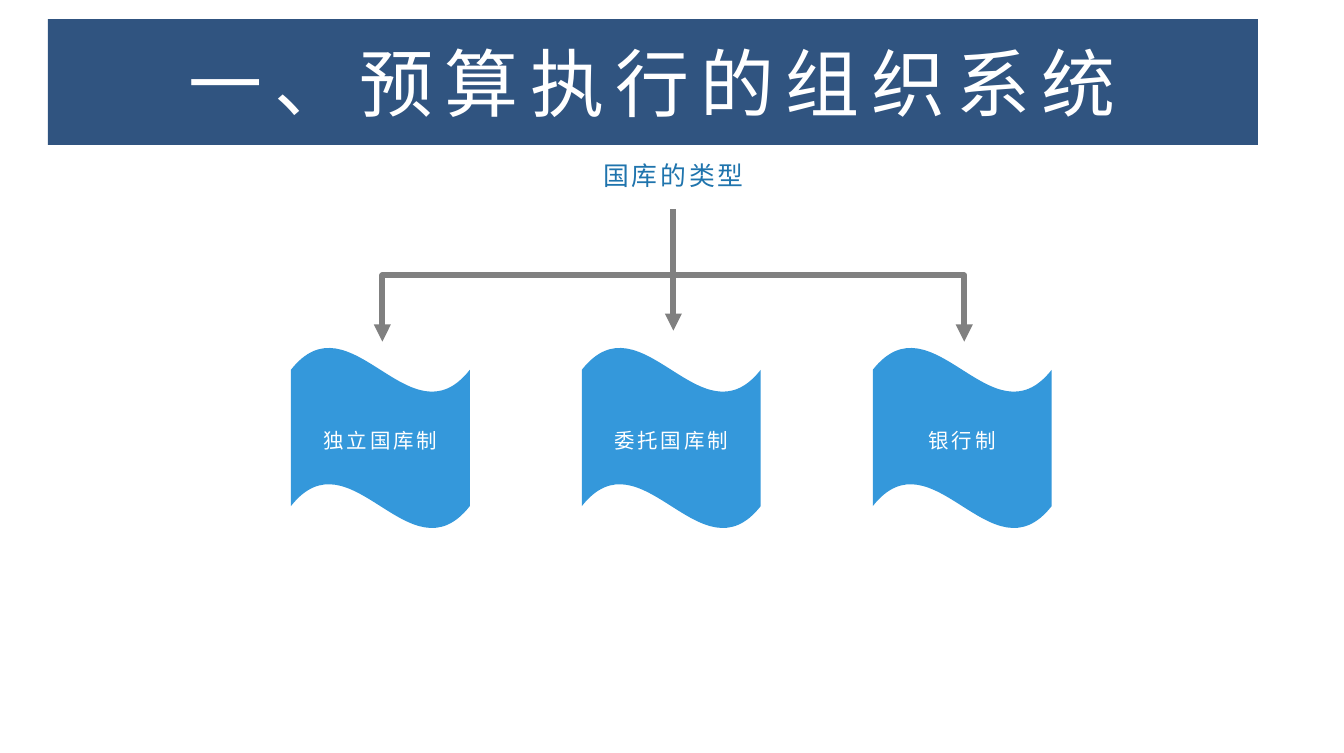
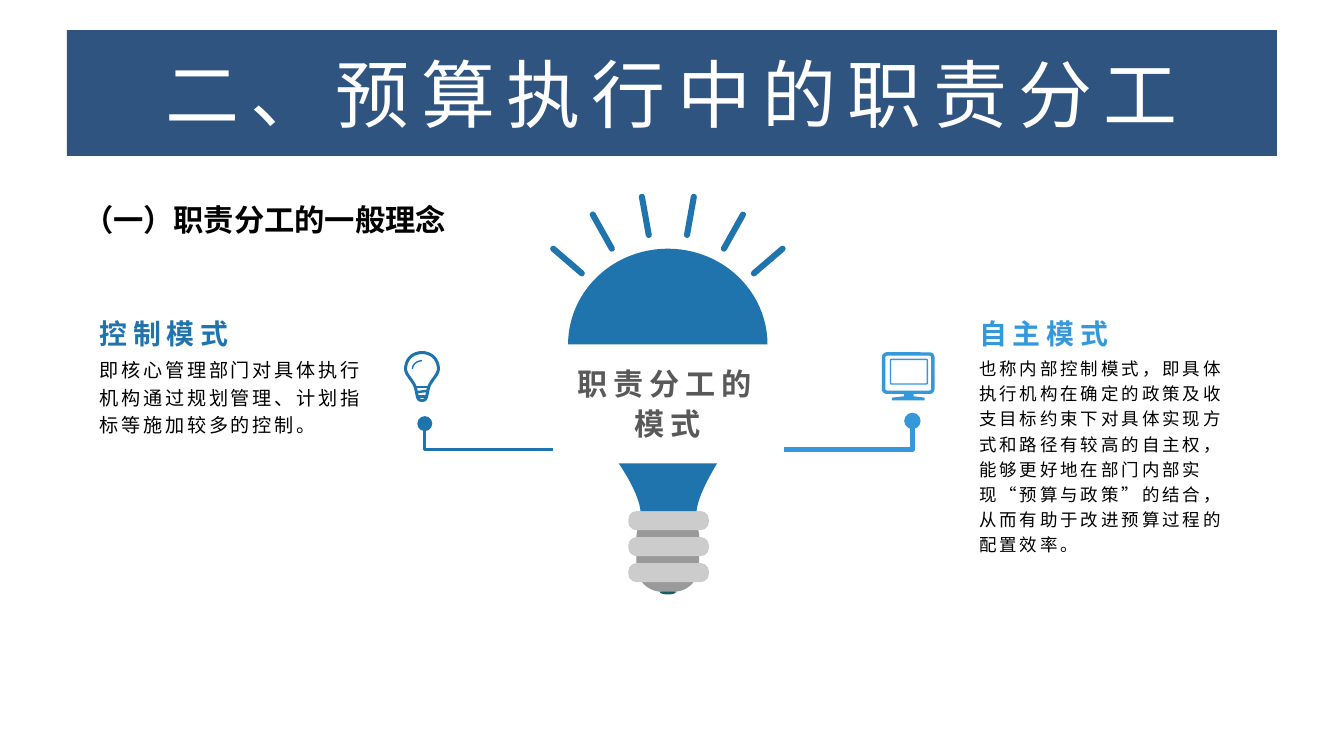
from dataclasses import dataclass
from math import cos, pi, sin
from typing import Optional

from lxml.etree import SubElement
from pptx import Presentation
from pptx.dml.color import RGBColor
from pptx.enum.shapes import MSO_CONNECTOR as Connector, MSO_SHAPE as Preset
from pptx.enum.text import MSO_ANCHOR as Anchor, PP_ALIGN as Align
from pptx.oxml.ns import qn
from pptx.util import Inches, Pt

Point = tuple[float, float]
Box = tuple[float, float, float, float]


@dataclass(frozen=True)
class Theme:
    font: str = "Noto Sans CJK SC"
    heading_font: str = "Calibri"
    band: str = "305480"
    dark_blue: str = "1F74AD"
    light_blue: str = "3498DB"
    arrow: str = "808080"
    caption: str = "595959"
    neck: str = "9B9A9A"
    ring: str = "CDCCCC"
    tip: str = "1A5A62"
    white: str = "FFFFFF"
    black: str = "000000"
    title_size: float = 39
    heading_size: float = 16
    caption_size: float = 15.9
    mode_size: float = 14.7
    topic_size: float = 13.6
    label_size: float = 10.8


@dataclass(frozen=True)
class Mode:
    name: str
    description: str
    left: float
    size: float
    color: str
    dot: Point
    dot_radius: float
    wire_end: float
    wire_width: float


THEME = Theme()
MODES = [
    Mode("控制模式", "即核心管理部门对具体执行机构通过规划管理、计划指标等施加较多的控制。",
         0.63, 10.1, THEME.dark_blue, (3.11, 3.10), 0.055, 4.05, 1.8),
    Mode("自主模式",
         "也称内部控制模式，即具体执行机构在确定的政策及收支目标约束下对具体实现方式和路径有较高的自主权，"
         "能够更好地在部门内部实现“预算与政策”的结合，从而有助于改进预算过程的配置效率。",
         7.07, 9.2, THEME.light_blue, (6.68, 3.08), 0.06, 5.74, 2.4),
]


def rgb(color: str) -> RGBColor:
    return RGBColor.from_string(color)


def write_text(shape, text: str, *, size: float, color: str, font: str = THEME.font,
               bold: bool = False, spacing: float = 0, align: Align = Align.CENTER,
               anchor: Anchor = Anchor.MIDDLE, line_spacing: float = 1.0,
               insets: Box = (0.1, 0.05, 0.1, 0.05)) -> None:
    frame = shape.text_frame
    frame.word_wrap = True
    frame.vertical_anchor = anchor
    frame.margin_left, frame.margin_top, frame.margin_right, frame.margin_bottom = map(Inches, insets)
    paragraph = frame.paragraphs[0]
    paragraph.alignment = align
    paragraph.line_spacing = line_spacing
    run = paragraph.add_run()
    run.text = text
    run.font.size = Pt(size)
    run.font.bold = bold
    run.font.color.rgb = rgb(color)
    run.font.name = font
    properties = run.font._element
    properties.set("lang", "zh-CN")
    properties.set("spc", str(int(spacing * 100)))
    SubElement(properties, qn("a:ea")).set("typeface", THEME.font)


def add_text(slide, box: Box, text: str, **text_format) -> None:
    write_text(slide.shapes.add_textbox(*map(Inches, box)), text, **text_format)


def paint(shape, fill: Optional[str], line: Optional[str] = None, width: float = 1) -> None:
    shape.shadow.inherit = False
    if fill:
        shape.fill.solid()
        shape.fill.fore_color.rgb = rgb(fill)
    else:
        shape.fill.background()
    if line:
        shape.line.color.rgb = rgb(line)
        shape.line.width = Pt(width)
    else:
        shape.line.fill.background()


def add_preset(slide, preset: Preset, box: Box, fill: Optional[str], *,
               line: Optional[str] = None, width: float = 1, rounding: Optional[float] = None):
    shape = slide.shapes.add_shape(preset, *map(Inches, box))
    paint(shape, fill, line, width)
    if rounding is not None:
        shape.adjustments[0] = rounding
    return shape


def add_outline(slide, points: list[Point], fill: Optional[str], *,
                line: Optional[str] = None, width: float = 1, close: bool = True) -> None:
    corners = [(Inches(x), Inches(y)) for x, y in points]
    builder = slide.shapes.build_freeform(*corners[0])
    builder.add_line_segments(corners[1:], close=close)
    paint(builder.convert_to_shape(), fill, line, width)


def add_line(slide, start: Point, end: Point, color: str, width: float, *,
             kind: Connector = Connector.STRAIGHT, arrow: bool = False, rounded: bool = False):
    connector = slide.shapes.add_connector(kind, *map(Inches, (*start, *end)))
    connector.line.color.rgb = rgb(color)
    connector.line.width = Pt(width)
    line = connector.line._get_or_add_ln()
    if rounded:
        line.set("cap", "rnd")
    if arrow:
        SubElement(line, qn("a:tailEnd")).set("type", "triangle")
    SubElement(connector._element.spPr, qn("a:effectLst"))
    return connector


def add_branch(slide, start: Point, end: Point) -> None:
    side = 1 if end[0] > start[0] else -1
    center_x, center_y = (start[0] + end[0]) / 2, (start[1] + end[1]) / 2
    half_run, half_drop = abs(end[0] - start[0]) / 2, (end[1] - start[1]) / 2
    connector = add_line(
        slide, (center_x - side * half_drop, center_y + half_run),
        (center_x + side * half_drop, center_y - half_run),
        THEME.arrow, 3, kind=Connector.ELBOW, arrow=True)
    turn = 180 - 90 * side
    connector._element.spPr.find(qn("a:xfrm")).set("rot", str(turn * 60000))


def curve(start: Point, *segments: tuple[Point, Point, Point], steps: int = 12) -> list[Point]:
    points = [start]
    for first, second, end in segments:
        origin = points[-1]
        for step in range(1, steps + 1):
            t = step / steps
            weights = ((1 - t) ** 3, 3 * t * (1 - t) ** 2, 3 * t * t * (1 - t), t ** 3)
            anchors = (origin, first, second, end)
            points.append((sum(w * p[0] for w, p in zip(weights, anchors)),
                           sum(w * p[1] for w, p in zip(weights, anchors))))
    return points


def half_ellipse(center: Point, radius_x: float, radius_y: float, steps: int = 48) -> list[Point]:
    angles = [pi * step / steps for step in range(steps + 1)]
    return [(center[0] + radius_x * cos(a), center[1] - radius_y * sin(a)) for a in angles]


def add_title(slide, left: float, top: float, text: str) -> None:
    band = add_preset(slide, Preset.RECTANGLE, (left, top, 8.86, 0.92), THEME.band)
    write_text(band, text, size=THEME.title_size, color=THEME.white, spacing=6,
               insets=(0.09, 0.04, 0.09, 0.04))


def draw_bulb(slide) -> None:
    center = 4.89
    add_preset(slide, Preset.ROUNDED_RECTANGLE, (4.66, 3.74, 0.46, 0.59), THEME.neck, rounding=0.41)
    for index in range(3):
        add_preset(slide, Preset.ROUNDED_RECTANGLE, (4.6, 3.74 + 0.19 * index, 0.59, 0.14),
                   THEME.ring, rounding=0.43)
    add_outline(slide, half_ellipse((center, 4.33), 0.06, -0.02), THEME.tip)
    add_outline(slide, half_ellipse((center, 2.52), 0.73, 0.7), THEME.dark_blue)
    funnel = curve((4.53, 3.39), ((4.61, 3.51), (4.68, 3.64), (4.69, 3.74)))
    funnel += curve((5.1, 3.74), ((5.11, 3.64), (5.18, 3.51), (5.25, 3.39)))
    add_outline(slide, funnel, THEME.dark_blue)
    rays = [((0.19, 1.44), (0.14, 1.72)), ((0.55, 1.57), (0.41, 1.82)), ((0.84, 1.82), (0.63, 2.0))]
    for side in (-1, 1):
        for (outer, top), (inner, bottom) in rays:
            add_line(slide, (center + side * outer, top), (center + side * inner, bottom),
                     THEME.dark_blue, 3.2, rounded=True)


def draw_monitor_icon(slide) -> None:
    color = THEME.light_blue
    add_preset(slide, Preset.ROUNDED_RECTANGLE, (6.47, 2.59, 0.36, 0.28), None,
               line=color, width=1.8, rounding=0.08)
    add_preset(slide, Preset.ROUNDED_RECTANGLE, (6.52, 2.63, 0.27, 0.18), None,
               line=color, width=0.75, rounding=0.04)
    add_outline(slide, [(6.62, 2.88), (6.69, 2.88), (6.69, 2.9), (6.77, 2.91), (6.77, 2.93),
                        (6.53, 2.93), (6.53, 2.91), (6.62, 2.9)], color)


def draw_bulb_icon(slide) -> None:
    color = THEME.dark_blue
    glass = curve((3.04, 2.83),
                  ((3.02, 2.78), (2.97, 2.74), (2.97, 2.7)),
                  ((2.97, 2.63), (3.02, 2.58), (3.09, 2.58)),
                  ((3.16, 2.58), (3.21, 2.63), (3.21, 2.7)),
                  ((3.21, 2.74), (3.16, 2.78), (3.14, 2.83)),
                  ((3.12, 2.9), (3.13, 2.93), (3.09, 2.93)),
                  ((3.05, 2.93), (3.06, 2.9), (3.04, 2.83)))
    add_outline(slide, glass, None, line=color, width=1.6)
    for start, end in (((3.03, 2.83), (3.15, 2.83)), ((3.05, 2.87), (3.13, 2.86)),
                       ((3.06, 2.9), (3.12, 2.9))):
        add_line(slide, start, end, color, 1.3)
    gleam = curve((3.02, 2.7), ((3.02, 2.67), (3.05, 2.64), (3.09, 2.64)))
    add_outline(slide, gleam, None, line=color, width=0.75, close=False)


def draw_mode(slide, mode: Mode) -> None:
    shared = dict(align=Align.LEFT, line_spacing=1.2)
    add_text(slide, (mode.left, 2.21, 2.13, 0.35), mode.name, size=THEME.mode_size,
             color=mode.color, bold=True, spacing=3, anchor=Anchor.BOTTOM,
             insets=(0.1, 0.05, 0.1, 0), **shared)
    add_text(slide, (mode.left, 2.59, 2.13, 1.5), mode.description, size=mode.size,
             color=THEME.black, spacing=1.5, anchor=Anchor.TOP,
             insets=(0.1, 0, 0.1, 0.05), **shared)
    x, y = mode.dot
    radius = mode.dot_radius
    add_outline(slide, [(x, y), (x, 3.29), (mode.wire_end, 3.29)], None,
                line=mode.color, width=mode.wire_width, close=False)
    add_preset(slide, Preset.OVAL, (x - radius, y - radius, 2 * radius, 2 * radius), mode.color)


def draw_treasury_slide(slide) -> None:
    add_title(slide, 0.35, 0.14, "一、预算执行的组织系统")
    center, pitch = 4.93, 2.13
    add_text(slide, (center - 1.01, 1.07, 2.02, 0.42), "国库的类型", size=THEME.topic_size,
             color=THEME.dark_blue, spacing=1.5)
    add_line(slide, (center, 2.03), (center, 2.42), THEME.arrow, 3, arrow=True)
    for side in (1, -1):
        add_branch(slide, (center, 1.53), (center + side * pitch, 2.5))
    for index, name in enumerate(("独立国库制", "委托国库制", "银行制")):
        wave = add_preset(slide, Preset.WAVE, (2.13 + pitch * index, 2.54, 1.31, 1.33),
                          THEME.light_blue)
        write_text(wave, name, size=THEME.label_size, color=THEME.white, spacing=1.5,
                   line_spacing=1.2)


def draw_duties_slide(slide) -> None:
    add_title(slide, 0.49, 0.22, "二、预算执行中的职责分工")
    add_text(slide, (0.51, 1.42, 3.07, 0.37), "（一）职责分工的一般理念", size=THEME.heading_size,
             color=THEME.black, font=THEME.heading_font, bold=True, align=Align.LEFT,
             anchor=Anchor.TOP)
    draw_bulb(slide)
    add_text(slide, (4.09, 2.58, 1.6, 0.72), "职责分工的模式", size=THEME.caption_size,
             color=THEME.caption, bold=True, spacing=3, line_spacing=1.1)
    for mode in MODES:
        draw_mode(slide, mode)
    draw_bulb_icon(slide)
    draw_monitor_icon(slide)


def main() -> None:
    presentation = Presentation()
    presentation.slide_width, presentation.slide_height = Inches(9.84), Inches(5.51)
    for draw in (draw_treasury_slide, draw_duties_slide):
        draw(presentation.slides.add_slide(presentation.slide_layouts[6]))
    presentation.save("out.pptx")


if __name__ == "__main__":
    main()
